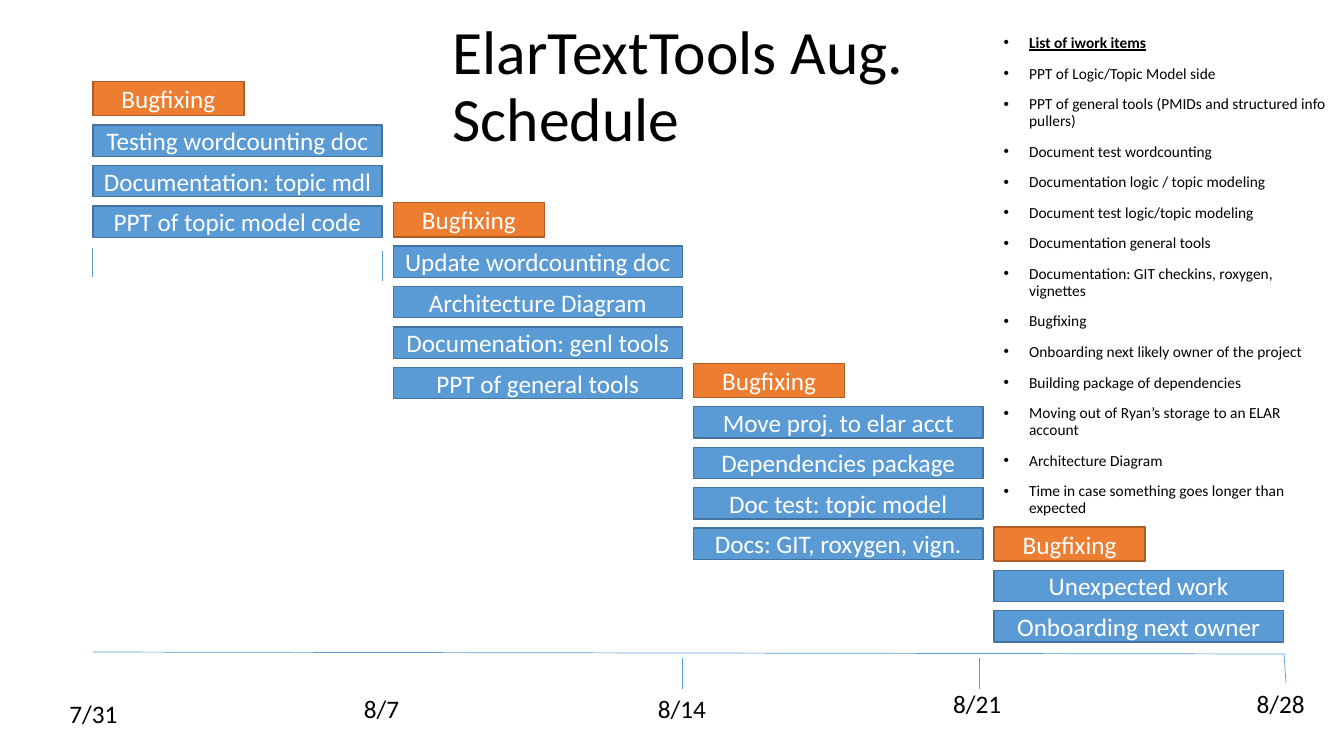
from lxml import etree
from pptx import Presentation
from pptx import util as u
from pptx.dml.color import RGBColor
from pptx.enum import shapes, text
from pptx.oxml.ns import qn

BLUE = RGBColor(0x5B, 0x9B, 0xD5)
DARK_BLUE = RGBColor(0x43, 0x73, 0x9E)
ORANGE = RGBColor(0xED, 0x7D, 0x31)
DARK_ORANGE = RGBColor(0xAF, 0x5C, 0x24)
BLACK = RGBColor(0, 0, 0)
WHITE = RGBColor(255, 255, 255)

WEEK_STEP = 7.57
WEEKS = [
    (2.06, ["Testing wordcounting doc", "Documentation: topic mdl",
            "PPT of topic model code"]),
    (5.11, ["Update wordcounting doc", "Architecture Diagram",
            "Documenation: genl tools", "PPT of general tools"]),
    (9.16, ["Move proj. to elar acct", "Dependencies package",
            "Doc test: topic model", "Docs: GIT, roxygen, vign."]),
    (13.28, ["Unexpected work", "Onboarding next owner"]),
]
WORK_ITEMS = [
    "List of iwork items",
    "PPT of Logic/Topic Model side",
    "PPT of general tools (PMIDs and structured info pullers)",
    "Document test wordcounting",
    "Documentation logic / topic modeling",
    "Document test logic/topic modeling",
    "Documentation general tools",
    "Documentation: GIT checkins, roxygen, vignettes",
    "Bugfixing",
    "Onboarding next likely owner of the project",
    "Building package of dependencies",
    "Moving out of Ryan\u2019s storage to an ELAR account",
    "Architecture Diagram",
    "Time in case something goes longer than expected",
]
DATES = [("7/31", -0.84, 1.05), ("8/7", 6.58, 0.92), ("8/14", 13.99, 0.92),
         ("8/21", 21.43, 0.79), ("8/28", 29.08, 0.79)]
TICKS = [(0, -10.18, 0, -9.44), (7.29, -10.11, 7.29, -9.35),
         (14.86, 0.16, 14.86, 0.92), (22.35, 0.16, 22.35, 0.92),
         (30.02, 0.08, 30.07, 0.79)]


def set_font(paragraph, size, color):
    paragraph.font.name = "Calibri"
    paragraph.font.size = u.Pt(size)
    paragraph.font.color.rgb = color


def move(part, left, top, width, height):
    part.left, part.top = u.Cm(left), u.Cm(top)
    part.width, part.height = u.Cm(width), u.Cm(height)


def add_heading(slide, left, top, width, height):
    heading = slide.shapes.title
    move(heading, left, top, width, height)
    frame = heading.text_frame
    frame.text = "ElarTextTools Aug. Schedule"
    frame.auto_size = text.MSO_AUTO_SIZE.NONE
    frame.vertical_anchor = text.MSO_ANCHOR.MIDDLE
    line = frame.paragraphs[0]
    line.alignment = text.PP_ALIGN.LEFT
    line.line_spacing = 0.9
    set_font(line, 44, BLACK)


def add_work_items(slide, left, top, width, height):
    work_list = slide.placeholders[1]
    move(work_list, left, top, width, height)
    frame = work_list.text_frame
    frame.text = "\n".join(WORK_ITEMS)
    frame.auto_size = text.MSO_AUTO_SIZE.NONE
    indent = u.Cm(0.64)
    for item in frame.paragraphs:
        item.line_spacing = 0.9
        item.space_before = u.Pt(10)
        set_font(item, 11, BLACK)
        properties = item._p.get_or_add_pPr()
        properties.set("marL", str(indent))
        properties.set("indent", str(-indent))
    list_heading = frame.paragraphs[0].font
    list_heading.bold = list_heading.underline = True


def add_bar(slide, label, left, top, width, height, fill, outline):
    bar = slide.shapes.add_shape(shapes.MSO_SHAPE.RECTANGLE, u.Cm(left),
                                 u.Cm(top), u.Cm(width), u.Cm(height))
    bar.shadow.inherit = False
    bar.fill.solid()
    bar.fill.fore_color.rgb = fill
    bar.line.color.rgb = outline
    bar.line.width = u.Pt(1)
    frame = bar.text_frame
    frame.text = label
    frame.word_wrap = True
    frame.vertical_anchor = text.MSO_ANCHOR.MIDDLE
    frame.paragraphs[0].alignment = text.PP_ALIGN.CENTER
    set_font(frame.paragraphs[0], 18, WHITE)


def add_week(slide, tasks, left, top, width):
    add_bar(slide, "Bugfixing", left, top, 3.81, 0.86, ORANGE, DARK_ORANGE)
    for row, task in enumerate(tasks):
        add_bar(slide, task, left, top + 1.09 + row * 1.02, width, 0.79,
                BLUE, DARK_BLUE)


def add_rule(slide, x1, y1, x2, y2):
    rule = slide.shapes.add_connector(shapes.MSO_CONNECTOR.STRAIGHT, u.Cm(x1),
                                      u.Cm(y1), u.Cm(x2), u.Cm(y2))
    rule.line.color.rgb = BLUE
    rule.line.width = u.Pt(0.5)
    etree.SubElement(rule._element.spPr, qn("a:effectLst"))


def add_timeline(slide, left, top, width):
    add_rule(slide, left, top, left + width, top + 0.05)
    for x1, y1, x2, y2 in TICKS:
        add_rule(slide, left + x1, top + y1, left + x2, top + y2)
    for date, x, y in DATES:
        label_width = 1.42 if len(date) == 3 else 1.73
        label = slide.shapes.add_textbox(u.Cm(left + x), u.Cm(top + y),
                                         u.Cm(label_width), u.Cm(1.02))
        frame = label.text_frame
        frame.text = date
        frame.word_wrap = False
        frame.auto_size = text.MSO_AUTO_SIZE.SHAPE_TO_FIT_TEXT
        set_font(frame.paragraphs[0], 18, BLACK)


def add_schedule(deck):
    slide = deck.slides.add_slide(deck.slide_layouts[1])
    add_heading(slide, 11.15, 0.38, 16.87, 3.68)
    add_timeline(slide, 2.34, 16.43, 30.07)
    add_work_items(slide, 25.04, 0.76, 8.81, 10.44)
    for week, (top, tasks) in enumerate(WEEKS):
        add_week(slide, tasks, 2.34 + week * WEEK_STEP, top, 7.29)


deck = Presentation()
deck.slide_width, deck.slide_height = u.Cm(33.87), u.Cm(19.05)
add_schedule(deck)
deck.save("out.pptx")
